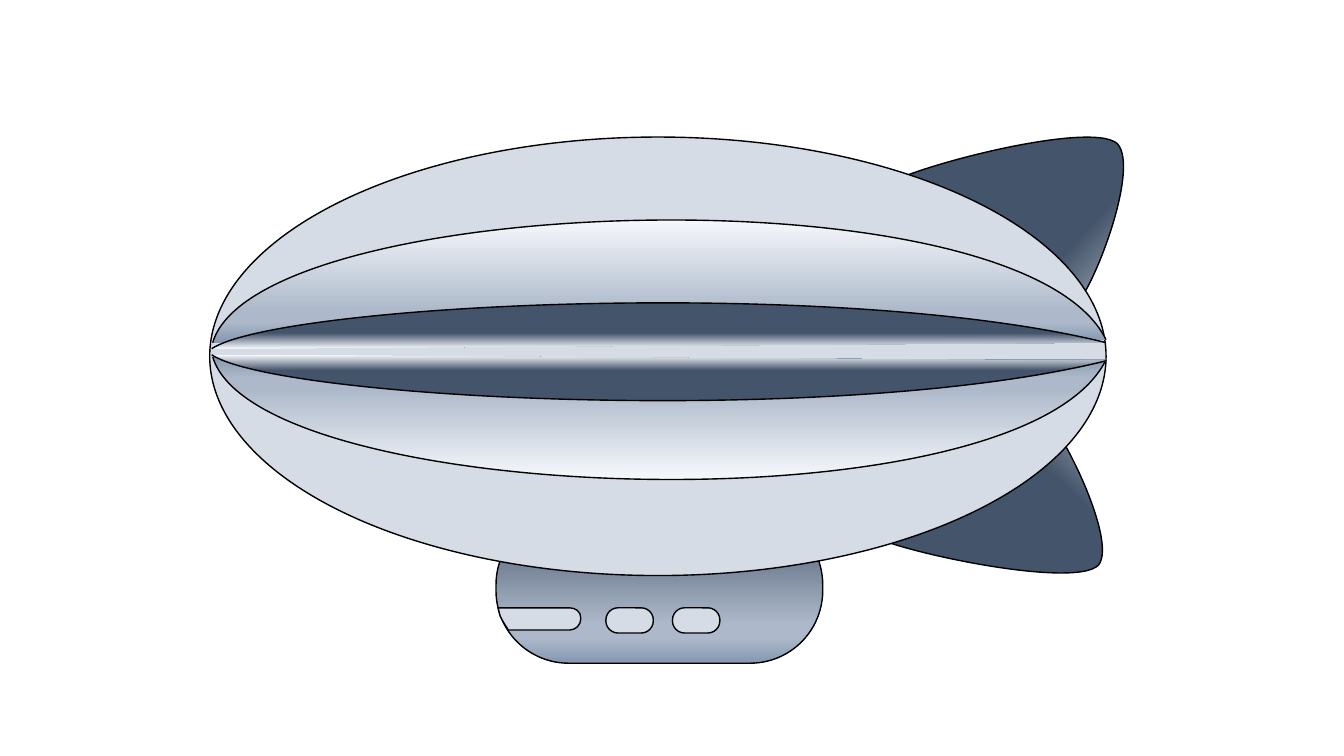
import math

import lxml.etree
import pptx
import pptx.dml.color
import pptx.enum.shapes
import pptx.oxml
import pptx.oxml.ns
import pptx.util

Inches = pptx.util.Inches
SHAPE = pptx.enum.shapes.MSO_SHAPE
qn = pptx.oxml.ns.qn

COLORS = {
    "outline": "000000",
    "hull": "D6DCE5",
    "dark": "44546A",
    "mid": "ADB9CA",
    "steel": "8497B0",
    "light": "F6F8FC",
}
SHADE = [(66, "dark"), (100, "light")]
METAL = [(74, "mid"), (83, "mid"), (100, "steel")]
SHINE = [(0, "light")] + METAL
GONDOLA_METAL = [(0, "dark")] + METAL
DOWN, UP = 90, 270
CURVE_STEPS = 40


def rgb(name):
    return pptx.dml.color.RGBColor.from_string(COLORS[name])


def finish(shape, color=None, stops=None, angle=DOWN):
    """Apply the black outline and a solid or a gradient fill."""
    shape.shadow.inherit = False
    shape.line.color.rgb = rgb("outline")
    shape.line.width = pptx.util.Pt(1)
    shape.fill.solid()
    if color:
        shape.fill.fore_color.rgb = rgb(color)
        return
    stop_xml = "".join(
        f'<a:gs pos="{percent * 1000}"><a:srgbClr val="{COLORS[name]}"/></a:gs>'
        for percent, name in stops
    )
    gradient = pptx.oxml.parse_xml(
        f'<a:gradFill {pptx.oxml.ns.nsdecls("a")} rotWithShape="1"><a:gsLst>{stop_xml}</a:gsLst>'
        f'<a:lin ang="{angle * 60000}" scaled="0"/></a:gradFill>'
    )
    solid = shape._element.spPr.find(qn("a:solidFill"))
    solid.getparent().replace(solid, gradient)


def bezier(p0, p1, p2, p3):
    """Points along a cubic curve, without its start."""
    for step in range(1, CURVE_STEPS + 1):
        t = step / CURVE_STEPS
        weights = ((1 - t) ** 3, 3 * t * (1 - t) ** 2, 3 * t * t * (1 - t), t ** 3)
        yield tuple(sum(w * p[axis] for w, p in zip(weights, (p0, p1, p2, p3)))
                    for axis in (0, 1))


def add_outline(shapes, left, top, start, segments, closed=True):
    """Draw lines (one point) and curves (three points), offset from left, top."""
    def place(point):
        return Inches(left + point[0]), Inches(top + point[1])

    extent = [start]
    for segment in segments:
        extent.extend(bezier(extent[-1], *segment) if len(segment) == 3 else segment)
    builder = shapes.build_freeform(*place(start))
    builder.add_line_segments([place(point) for point in extent[1:]], close=closed)
    outline = builder.convert_to_shape()

    # The sampled points only size the box; the path itself gets true curves.
    path = outline._element.spPr.find(".//" + qn("a:path"))
    for child in list(path):
        path.remove(child)
    for segment in [[start]] + segments:
        tag = "a:cubicBezTo" if len(segment) == 3 else "a:lnTo" if len(path) else "a:moveTo"
        command = lxml.etree.SubElement(path, qn(tag))
        for x, y in map(place, segment):
            lxml.etree.SubElement(command, qn("a:pt"),
                                  x=str(x - outline.left), y=str(y - outline.top))
    if closed:
        lxml.etree.SubElement(path, qn("a:close"))
    return outline


def turn(point, degrees):
    x, y = point
    c, s = math.cos(math.radians(degrees)), math.sin(math.radians(degrees))
    return x * c - y * s, x * s + y * c


def add_fin(shapes, center_x, center_y, rotation, angle, start, segments):
    """Draw a fin given around its centre, so that its gradient turns with it."""
    upright = [[turn(point, -rotation) for point in segment] for segment in segments]
    fin = add_outline(shapes, center_x, center_y, turn(start, -rotation), upright)
    fin.rotation = rotation
    finish(fin, stops=SHADE, angle=angle)


def add_rounded(shapes, left, top, width, height):
    box = shapes.add_shape(SHAPE.ROUNDED_RECTANGLE, *map(Inches, (left, top, width, height)))
    box.adjustments[0] = 0.48
    return box


def add_tail(shapes, left, top):
    add_fin(shapes, left + 1.44, top + 0.57, 312.8, DOWN, (0.46, 1.11), [
        [(0.29, 1.17), (-1.59, 0.1), (-1.42, -0.08)],
        [(-1.25, -0.25), (0.63, -0.75), (0.9, -0.51)],
        [(1.14, -0.26), (0.62, 1.05), (0.46, 1.11)],
    ])
    add_fin(shapes, left + 1.24, top + 3.8, 43.1, UP, (0.32, -1.11), [
        [(0.15, -1.16), (-1.56, -0.04), (-1.38, 0.12)],
        [(-1.2, 0.28), (0.68, 0.69), (0.92, 0.44)],
        [(1.12, 0.19), (0.49, -1.05), (0.32, -1.11)],
    ])


def add_hull(shapes, left, top, width, height):
    hull = shapes.add_shape(SHAPE.OVAL, *map(Inches, (left, top, width, height)))
    finish(hull, color="hull")
    # Stripes mirrored about the hull's axis: axis offset, curve, gradient stops
    stripes = [
        (2.11, [(0.03, 0.07), (0.47, 1.56), (8.05, 1.81), (width, 0.1)], SHINE),
        (2.13, [(0.02, 0.03), (0.7, 0.48), (6.24, 0.75), (width, 0.09)], SHADE),
    ]
    for side, angle in ((-1, DOWN), (1, UP)):
        for axis, curve, stops in stripes:
            start, *rest = [(x, side * y) for x, y in curve]
            stripe = add_outline(shapes, left, top + axis, start, [rest], closed=False)
            finish(stripe, stops=stops, angle=angle)


def add_gondola(shapes, left, top, width, height):
    finish(add_rounded(shapes, left, top, width, height), stops=GONDOLA_METAL)


def add_windows(shapes, left, top):
    for column in range(2):
        window = add_rounded(shapes, left + 1.07 + 0.66 * column, top, 0.47, 0.25)
        finish(window, color="hull")
    cockpit = add_outline(shapes, left, top, (0, 0), [
        [(0.71, 0)],
        [(0.77, 0), (0.82, 0.04), (0.82, 0.1)],
        [(0.82, 0.11)],
        [(0.82, 0.17), (0.77, 0.22), (0.71, 0.22)],
        [(0.1, 0.22)],
        [(0.09, 0.2)],
        [(0.06, 0.16), (0.04, 0.12), (0.02, 0.08)],
        [(0, 0)],
    ])
    finish(cockpit, color="hull")


def add_airship(slide, left, top):
    shapes = slide.shapes.add_group_shape().shapes
    add_tail(shapes, left + 6.66, top)
    add_gondola(shapes, left + 2.84, top + 3.72, 3.24, 1.5)
    add_hull(shapes, left, top, 8.89, 4.35)
    add_windows(shapes, left + 2.86, top + 4.67)


def main():
    presentation = pptx.Presentation()
    presentation.slide_width = Inches(13.33)
    presentation.slide_height = Inches(7.5)
    slide = presentation.slides.add_slide(presentation.slide_layouts[6])
    add_airship(slide, 2.08, 1.36)
    presentation.save("out.pptx")


if __name__ == "__main__":
    main()
